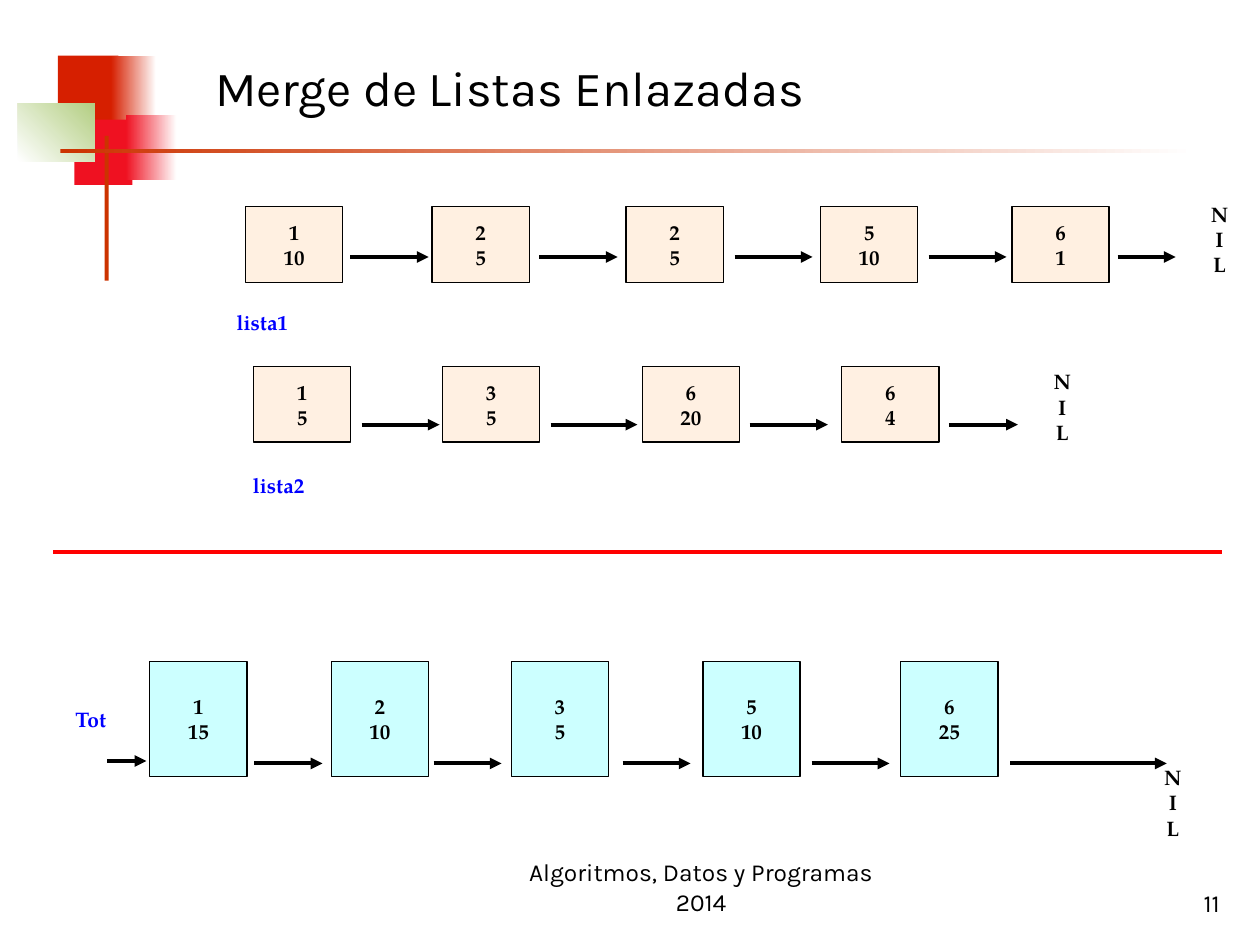
from lxml.etree import SubElement
from pptx import Presentation
from pptx.dml.color import RGBColor
from pptx.enum.shapes import MSO_CONNECTOR, MSO_SHAPE
from pptx.enum.text import MSO_ANCHOR, MSO_AUTO_SIZE, PP_ALIGN
from pptx.oxml.ns import qn
from pptx.util import Cm, Pt

BLACK, BLUE, RED, WHITE = "000000", "0000FF", "FF0000", "FFFFFF"
PEACH, CYAN = "FFF0E1", "CCFFFF"
TITLE_FONT, LIST_FONT = "Karla", "TeX Gyre Pagella"
NODE_WIDTH = 1.96

# Background blocks: left, top, width, height, colours, gradient angle
DECORATION = [
    (1.17, 1.12, 1.22, 1.32, ["D61F00"], 0),
    (2.24, 1.12, 0.91, 1.32, ["D61F00", WHITE], 0),
    (1.5, 2.41, 1.17, 1.32, ["EF1121"], 0),
    (2.54, 2.31, 1.02, 1.32, ["EF1121", WHITE], 0),
    (0.36, 2.08, 1.55, 1.17, [WHITE, "B3CE82"], 45),
    (2.11, 2.74, 0.08, 2.92, ["CC3300"], 0),
    (1.22, 3, 22.86, 0.08, ["CC3300", WHITE], 0),
]

# Each node: left, key, value. Each arrow: start, end. NIL: left, top.
LISTS = [
    dict(top=4.17, height=1.52, color=PEACH, alpha=100,
         nodes=[(4.95, 1, 10), (8.71, 2, 5), (12.62, 2, 5), (16.54, 5, 10), (20.4, 6, 1)],
         arrow_y=5.18,
         arrows=[(7.06, 8.64), (10.87, 12.45), (14.81, 16.38), (18.72, 20.29), (22.53, 23.7)],
         nil=(24, 4.06)),
    dict(top=7.39, height=1.52, color=PEACH, alpha=95,
         nodes=[(5.11, 1, 5), (8.92, 3, 5), (12.95, 6, 20), (16.97, 6, 4)],
         arrow_y=8.56,
         arrows=[(7.29, 8.86), (11.1, 12.85), (15.11, 16.69), (19.13, 20.52)],
         nil=(20.83, 7.44)),
    dict(top=13.34, height=2.31, color=CYAN, alpha=100,
         nodes=[(3.02, 1, 15), (6.68, 2, 10), (10.31, 3, 5), (14.17, 5, 10), (18.16, 6, 25)],
         arrow_y=15.39,
         arrows=[(5.13, 6.5), (8.74, 10.11), (12.55, 13.92), (16.36, 17.93), (20.37, 23.52)],
         nil=(23.06, 15.42)),
]


def rgb(value):
    return RGBColor.from_string(value)


def write(shape, text, font=LIST_FONT, size=12, color=BLACK, bold=True,
          align=PP_ALIGN.CENTER, anchor=MSO_ANCHOR.MIDDLE, wrap=False, before=0):
    """Fill the shape with one paragraph for each line of text."""
    frame = shape.text_frame
    frame.auto_size = MSO_AUTO_SIZE.NONE
    frame.word_wrap = wrap
    frame.vertical_anchor = anchor
    for index, line in enumerate(text.split("\n")):
        para = frame.add_paragraph() if index else frame.paragraphs[0]
        para.alignment = align
        para.space_before = Pt(before)
        span = para.add_run()
        span.text = line
        span.font.name = font
        span.font.size = Pt(size)
        span.font.bold = bold
        span.font.color.rgb = rgb(color)


def add_label(page, left, top, width, height, text, **style):
    box = page.shapes.add_textbox(Cm(left), Cm(top), Cm(width), Cm(height))
    write(box, text, **style)


def add_box(page, left, top, width, height):
    box = page.shapes.add_shape(
        MSO_SHAPE.RECTANGLE, Cm(left), Cm(top), Cm(width), Cm(height))
    box.shadow.inherit = False
    return box


def add_decoration(page, left, top, width, height, colors, angle):
    block = add_box(page, left, top, width, height)
    block.line.fill.background()
    if len(colors) == 1:
        block.fill.solid()
        block.fill.fore_color.rgb = rgb(colors[0])
        return
    block.fill.gradient()
    block.fill.gradient_angle = angle
    for stop, color in zip(block.fill.gradient_stops, colors):
        stop.color.rgb = rgb(color)


def add_node(page, left, top, height, text, color, alpha):
    node = add_box(page, left, top, NODE_WIDTH, height)
    node.fill.solid()
    node.fill.fore_color.rgb = rgb(color)
    if alpha < 100:
        tint = node.fill._xPr.find(".//" + qn("a:srgbClr"))
        SubElement(tint, qn("a:alpha"), val=str(alpha * 1000))
    node.line.color.rgb = rgb(BLACK)
    node.line.width = Pt(0.75)
    write(node, text)


def add_line(page, start, end, y, color=BLACK, arrow=True):
    """Draw a level line, with an arrowhead at its end if asked."""
    line = page.shapes.add_connector(
        MSO_CONNECTOR.STRAIGHT, Cm(start), Cm(y), Cm(end), Cm(y))
    line.line.color.rgb = rgb(color)
    line.line.width = Pt(2.25)
    if arrow:
        SubElement(line.line._get_or_add_ln(), qn("a:tailEnd"), type="triangle")
    SubElement(line._element.spPr, qn("a:effectLst"))


def add_linked_list(page, top, height, color, alpha, nodes, arrow_y, arrows, nil):
    for left, key, value in nodes:
        add_node(page, left, top, height, f"{key}\n{value}", color, alpha)
    for start, end in arrows:
        add_line(page, start, end, arrow_y)
    add_label(page, *nil, 1.17, 1.52, "N\nI\nL")


def main():
    deck = Presentation()
    deck.slide_width, deck.slide_height = Cm(25.4), Cm(19.05)
    page = deck.slides.add_slide(deck.slide_layouts[6])

    for block in DECORATION:
        add_decoration(page, *block)
    plain = dict(font=TITLE_FONT, bold=False, wrap=True)
    add_label(page, 4.09, 1.32, 19.99, 0.86, "Merge de Listas Enlazadas",
              size=28, align=PP_ALIGN.LEFT, **plain)

    for linked_list in LISTS:
        add_linked_list(page, **linked_list)

    name = dict(color=BLUE, align=PP_ALIGN.LEFT)
    for left, top, text in [(4.52, 6.12, "lista1"), (4.85, 9.4, "lista2")]:
        add_label(page, left, top, 2.74, 0.76, text, wrap=True, before=7.5,
                  anchor=MSO_ANCHOR.TOP, **name)
    add_label(page, 1.27, 13.74, 1.19, 1.52, "Tot", **name)
    add_line(page, 2.16, 2.95, 15.34)
    add_line(page, 1.07, 24.64, 11.13, color=RED, arrow=False)

    footer = dict(size=14, anchor=MSO_ANCHOR.BOTTOM, **plain)
    add_label(page, 19.56, 17.35, 5.28, 1.27, "11", align=PP_ALIGN.RIGHT, **footer)
    add_label(page, 10.11, 17.32, 8.05, 1.27,
              "Algoritmos, Datos y Programas 2014", **footer)
    deck.save("out.pptx")


if __name__ == "__main__":
    main()
